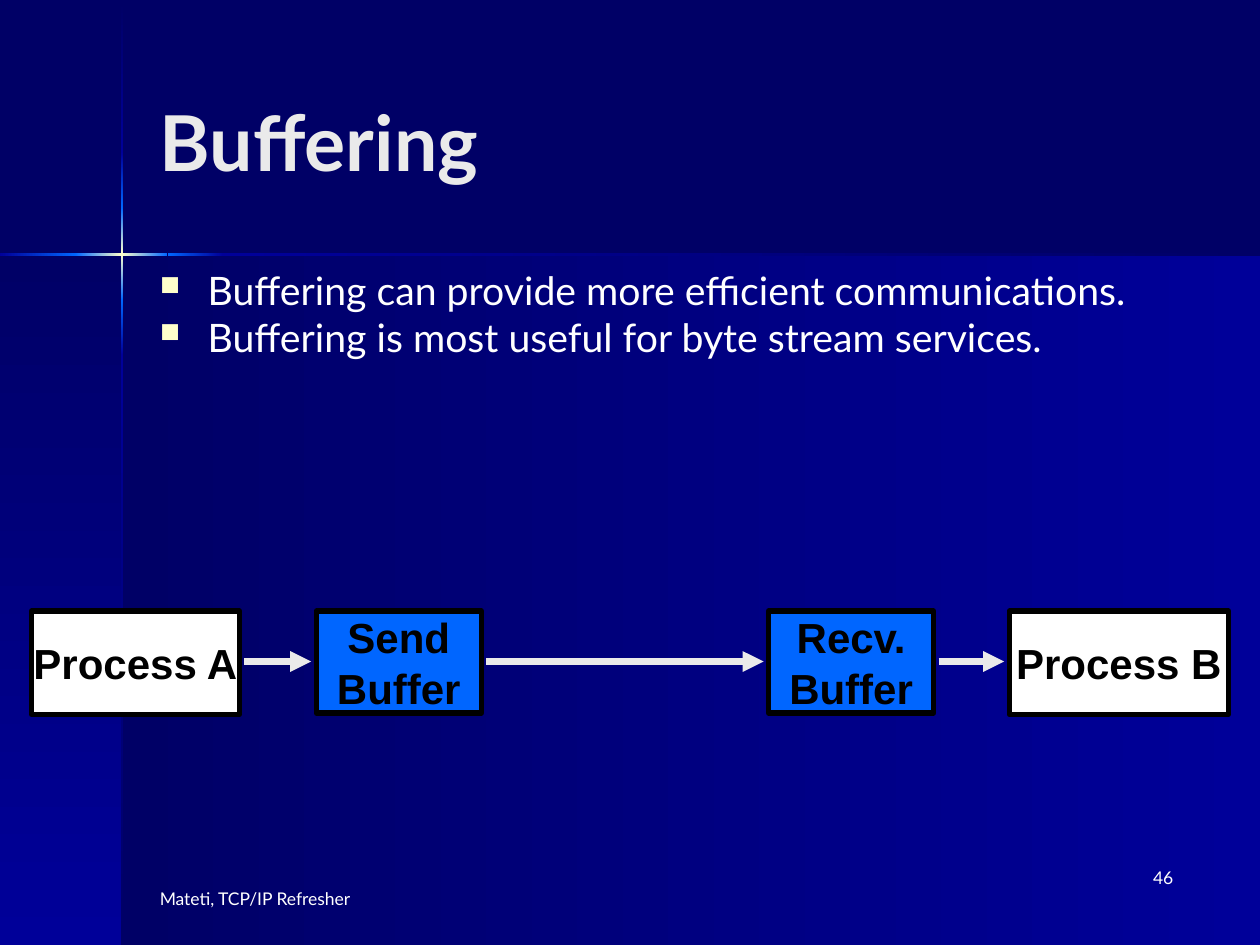
from dataclasses import dataclass

from lxml import etree
from pptx import Presentation
from pptx.dml.color import RGBColor
from pptx.enum.shapes import MSO_CONNECTOR, MSO_SHAPE
from pptx.enum.text import MSO_ANCHOR, PP_ALIGN
from pptx.oxml.ns import qn
from pptx.util import Inches, Pt

RECT = MSO_SHAPE.RECTANGLE
LINE = MSO_CONNECTOR.STRAIGHT
TOP, MID = MSO_ANCHOR.TOP, MSO_ANCHOR.MIDDLE
LEFT, MIDST, RIGHT = PP_ALIGN.LEFT, PP_ALIGN.CENTER, PP_ALIGN.RIGHT

HUES = {
    "night": "000066",
    "navy": "000099",
    "blue": "0066FF",
    "cream": "FFFFCC",
    "pale": "EAEAEA",
    "white": "FFFFFF",
    "black": "000000",
}
FADE = ("night", "navy")
GLOW = ("navy", "blue")
STAR = ("blue", "cream", "blue")
DOWN, BACK = 270, 180  # counter-clockwise degrees
WIDE, HIGH = 10, 7.5
THIN = 0.02
ROW = 4.85
FLOW = 5.25
GAP = 0.04


@dataclass
class Beam:
    x: float
    y: float
    w: float
    h: float
    hues: tuple[str, ...]
    turn: int


@dataclass
class Box:
    x: float
    w: float
    h: float
    hue: str
    lines: tuple[str, ...]


@dataclass
class Note:
    x: float
    y: float
    w: float
    h: float
    lines: tuple[str, ...]
    size: float
    hue: str = "white"
    bold: bool = False
    anchor: MSO_ANCHOR = TOP
    align: PP_ALIGN = LEFT


def rise(y: float, h: float, hues: tuple[str, ...]) -> Beam:
    return Beam(0.96, y, THIN, h, hues, DOWN)


def run(x: float, w: float, hues: tuple[str, ...]) -> Beam:
    return Beam(x, 2.01, w, THIN, hues, BACK)


BEAMS = [
    Beam(0.97, 2.02, 9.03, 5.48, FADE[::-1], BACK),
    Beam(0, 2.02, 0.97, 5.48, FADE, DOWN),
    rise(0.01, 1.2, FADE),
    rise(2.82, 4.68, FADE[::-1]),
    run(1.77, 8.23, FADE),
    rise(2.38, 0.44, GLOW[::-1]),
    rise(1.21, 0.44, GLOW),
    rise(1.65, 0.73, STAR),
    run(0, 0.61, GLOW[::-1]),
    run(1.33, 0.44, GLOW),
    run(0.6, 0.73, STAR),
]
BOXES = [
    Box(0.25, 1.65, 0.82, "white", ("Process A",)),
    Box(2.51, 1.31, 0.81, "blue", ("Send", "Buffer")),
    Box(6.1, 1.31, 0.81, "blue", ("Recv.", "Buffer")),
    Box(8.01, 1.74, 0.82, "white", ("Process B",)),
]
TITLE = Note(1.17, 0.33, 8.25, 1.57, ("Buffering",), 44, "pale", True, MID)
POINTS = Note(1.17, 2.17, 8.25, 1.25, (
    "Buffering can provide more efficient communications.",
    "Buffering is most useful for byte stream services.",
), 22.4)
FOOT = Note(1.17, 7, 2.67, 0.5, ("Mateti, TCP/IP Refresher",), 10)
PAGE = Note(7.33, 6.83, 2.08, 0.5, ("46",), 10, align=RIGHT)


def tint(name: str) -> RGBColor:
    return RGBColor.from_string(HUES[name])


def place(*spots: float) -> list:
    return [Inches(spot) for spot in spots]


def write(frame, lines: tuple[str, ...], align: PP_ALIGN, hue: str, **form) -> None:
    """Fill the frame with one paragraph per line, all in one format."""
    for i, line in enumerate(lines):
        para = frame.add_paragraph() if i else frame.paragraphs[0]
        para.alignment = align
        part = para.add_run()
        part.text = line
        part.font.color.rgb = tint(hue)
        for key, value in form.items():
            setattr(part.font, key, value)


def draw_beam(shapes, beam: Beam) -> None:
    shape = shapes.add_shape(RECT, *place(beam.x, beam.y, beam.w, beam.h))
    shape.shadow.inherit = False
    shape.line.fill.background()
    shape.fill.gradient()
    shape.fill.gradient_angle = beam.turn
    stops = shape._element.spPr.find(qn("a:gradFill")).find(qn("a:gsLst"))
    for stop in list(stops):
        stops.remove(stop)
    step = 100000 // (len(beam.hues) - 1)
    for i, hue in enumerate(beam.hues):
        stop = etree.SubElement(stops, qn("a:gs"), pos=str(i * step))
        etree.SubElement(stop, qn("a:srgbClr"), val=HUES[hue])


def draw_box(shapes, box: Box) -> None:
    shape = shapes.add_shape(RECT, *place(box.x, ROW, box.w, box.h))
    shape.shadow.inherit = False
    shape.fill.solid()
    shape.fill.fore_color.rgb = tint(box.hue)
    shape.line.color.rgb = tint("black")
    shape.line.width = Pt(3)
    frame = shape.text_frame
    frame.word_wrap = False
    frame.vertical_anchor = MID
    write(frame, box.lines, MIDST, "black", name="Arial", size=Pt(24), bold=True)


def draw_arrow(shapes, start: float, end: float) -> None:
    arrow = shapes.add_connector(LINE, *place(start, FLOW, end, FLOW))
    arrow.line.color.rgb = tint("pale")
    arrow.line.width = Pt(4)
    etree.SubElement(arrow.line._get_or_add_ln(), qn("a:tailEnd"), type="triangle")
    etree.SubElement(arrow._element.spPr, qn("a:effectLst"))


def draw_note(shapes, note: Note):
    frame = shapes.add_textbox(*place(note.x, note.y, note.w, note.h)).text_frame
    frame.word_wrap = True
    frame.vertical_anchor = note.anchor
    write(frame, note.lines, note.align, note.hue,
          name="Lato", size=Pt(note.size), bold=note.bold)
    return frame


def mark(frame) -> None:
    """Give each paragraph a square bullet and tight spacing."""
    for para in frame.paragraphs:
        para.line_spacing = 0.7
        para.space_before = Pt(8)
        props = para._p.get_or_add_pPr()
        props.set("marL", str(Inches(0.38)))
        props.set("indent", str(-Inches(0.38)))
        hue = etree.SubElement(props, qn("a:buClr"))
        etree.SubElement(hue, qn("a:srgbClr"), val=HUES["cream"])
        etree.SubElement(props, qn("a:buSzPct"), val="70000")
        etree.SubElement(props, qn("a:buChar"), char="■")


def main() -> None:
    deck = Presentation()
    deck.slide_width, deck.slide_height = place(WIDE, HIGH)
    slide = deck.slides.add_slide(deck.slide_layouts[6])
    slide.background.fill.solid()
    slide.background.fill.fore_color.rgb = tint("night")
    shapes = slide.shapes
    for beam in BEAMS:
        draw_beam(shapes, beam)
    draw_note(shapes, TITLE)
    mark(draw_note(shapes, POINTS))
    for box in BOXES:
        draw_box(shapes, box)
    for box, after in zip(BOXES, BOXES[1:]):
        draw_arrow(shapes, box.x + box.w + GAP, after.x - GAP)
    for note in (FOOT, PAGE):
        draw_note(shapes, note)
    deck.save("out.pptx")


if __name__ == "__main__":
    main()
